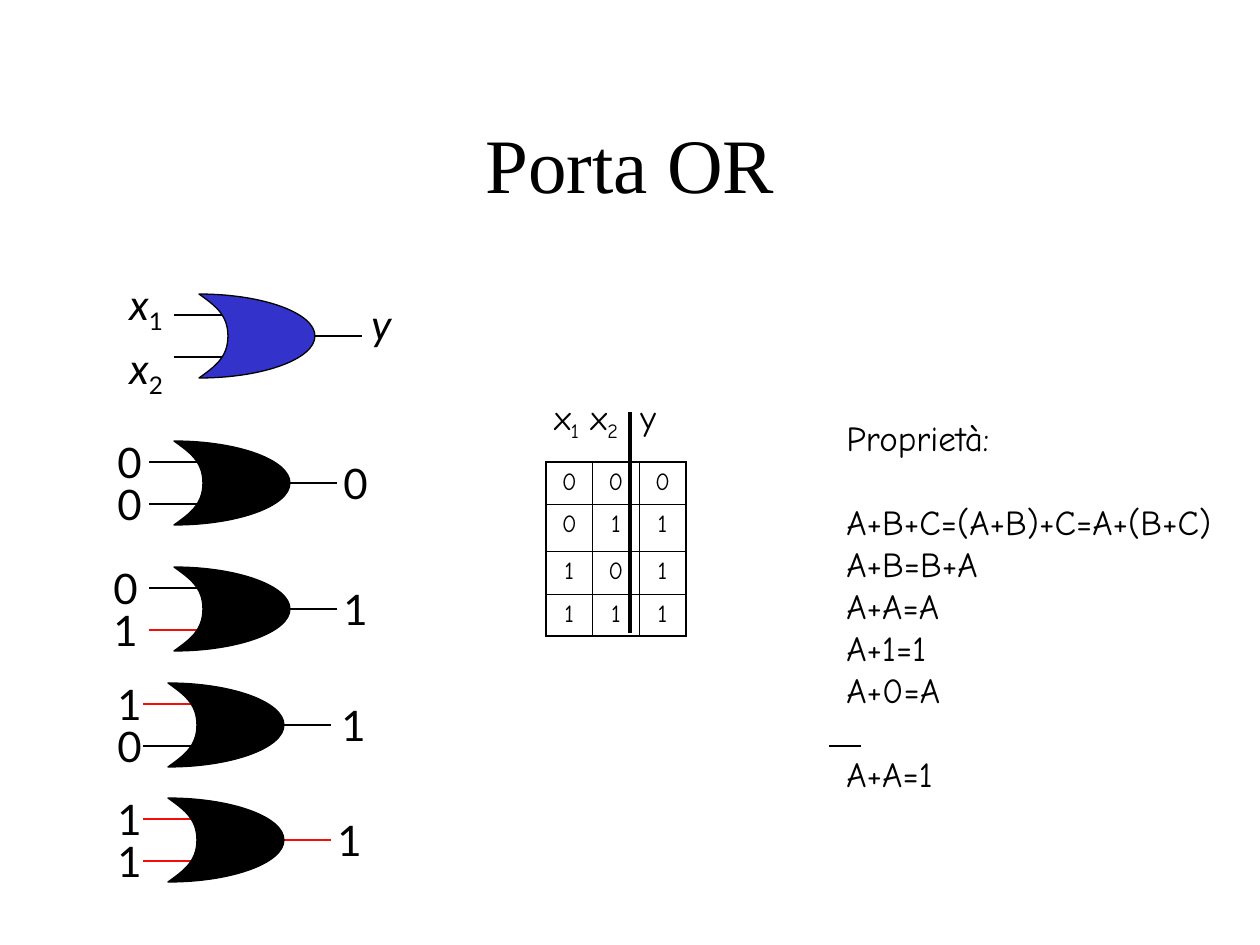
from dataclasses import dataclass
from typing import NamedTuple

from lxml import etree
from pptx import Presentation
from pptx.dml.color import RGBColor
from pptx.enum.shapes import MSO_CONNECTOR
from pptx.enum.text import MSO_ANCHOR, MSO_AUTO_SIZE, PP_ALIGN
from pptx.oxml.ns import qn
from pptx.util import Emu, Pt

STRAIGHT = MSO_CONNECTOR.STRAIGHT
TOP, MIDDLE = MSO_ANCHOR.TOP, MSO_ANCHOR.MIDDLE
LEFT, CENTER = PP_ALIGN.LEFT, PP_ALIGN.CENTER
FIT_TEXT = MSO_AUTO_SIZE.SHAPE_TO_FIT_TEXT

PX_PER_INCH = 126
COLORS = {"ink": "000000", "low": "010103", "high": "F50D07", "symbol": "3333CC"}
SERIF, SANS, HAND = "Times New Roman", "Lato", "Comic Neue"

GATE_CURVES = (
    ((15, 11), (29, 20), (29, 42)),
    ((29, 64), (15, 73), (0, 84)),
    ((64, 84), (116, 65), (116, 42)),
    ((116, 19), (64, 0), (0, 0)),
)
WIRE_SPANS = ((-25, 27, 21), (-25, 27, 63), (111, 163, 42))


class Run(NamedTuple):
    text: str
    italic: bool = False
    subscript: bool = False


class Frame(NamedTuple):
    left: int
    top: int
    width: int
    height: int


class Label(NamedTuple):
    runs: list[Run]
    left: int
    drop: int
    width: int = 49
    height: int = 63


@dataclass
class Gate:
    left: int
    top: int
    labels: list[Label]
    wire_colors: tuple[str, str, str]
    fill: str = "ink"


def px(value: float) -> Emu:
    return Emu(round(value * 914400 / PX_PER_INCH))


def rgb(name: str) -> RGBColor:
    return RGBColor.from_string(COLORS[name])


def write_text(frame, paragraphs: list[list[Run]], *, font: str, size: int, align=LEFT,
               tab: int = 0, gaps: dict[int, int] | None = None) -> None:
    for index, runs in enumerate(paragraphs):
        paragraph = frame.paragraphs[0] if index == 0 else frame.add_paragraph()
        paragraph.alignment = align
        if gaps and index in gaps:
            paragraph.space_before = Pt(gaps[index])
        if tab:
            tabs = etree.SubElement(paragraph._p.get_or_add_pPr(), qn("a:tabLst"))
            etree.SubElement(tabs, qn("a:tab"), pos=str(px(tab)), algn="l")
        for part in runs:
            run = paragraph.add_run()
            run.text = part.text
            run.font.name, run.font.size = font, Pt(size)
            run.font.italic = part.italic
            run.font.color.rgb = rgb("ink")
            if part.subscript:
                run._r.get_or_add_rPr().set("baseline", "-25000")


def add_text(shapes, place: Frame, paragraphs: list[list[Run]], *, wrap: bool = False,
             anchor=TOP, **text_format) -> None:
    frame = shapes.add_textbox(*map(px, place)).text_frame
    frame.word_wrap = wrap
    frame.vertical_anchor = anchor
    if not wrap:
        frame.auto_size = FIT_TEXT
    write_text(frame, paragraphs, **text_format)


def add_line(shapes, start: tuple[int, int], end: tuple[int, int], color: str = "ink",
             width: float = 0.75) -> None:
    line = shapes.add_connector(STRAIGHT, *map(px, (*start, *end)))
    line.line.color.rgb = rgb(color)
    line.line.width = Pt(width)
    etree.SubElement(line._element.spPr, qn("a:effectLst"))


def add_gate_body(shapes, gate: Gate) -> None:
    builder = shapes.build_freeform(px(gate.left), px(gate.top))
    builder.add_line_segments([(px(gate.left + x), px(gate.top + y))
                               for *_, (x, y) in GATE_CURVES])
    body = builder.convert_to_shape()
    segments = list(body._element.iter(qn("a:lnTo")))
    for segment, controls in zip(segments, GATE_CURVES):
        curve = etree.Element(qn("a:cubicBezTo"))
        for x, y in controls:
            etree.SubElement(curve, qn("a:pt"), x=str(px(x)), y=str(px(y)))
        segment.getparent().replace(segment, curve)
    body.shadow.inherit = False
    body.fill.solid()
    body.fill.fore_color.rgb = rgb(gate.fill)
    body.line.color.rgb = rgb("ink")
    body.line.width = Pt(0.75)


def add_gate(shapes, gate: Gate) -> None:
    for (start, end, drop), color in zip(WIRE_SPANS, gate.wire_colors):
        y = gate.top + drop
        add_line(shapes, (gate.left + start, y), (gate.left + end, y), color)
    for label in gate.labels:
        place = Frame(label.left, gate.top + label.drop, label.width, label.height)
        add_text(shapes, place, [label.runs], font=SANS, size=24)
    add_gate_body(shapes, gate)


def example_gate(left: int, top: int, values: str, input_left: int, output_left: int,
                 output_color: str) -> Gate:
    places = ((input_left, -11), (input_left, 31), (output_left, 10))
    labels = [Label([Run(value)], *place) for value, place in zip(values, places)]
    first, second = ("high" if value == "1" else "low" for value in values[:2])
    return Gate(left, top, labels, (first, second, output_color))


def set_borders(cell, outer_edges: dict[str, bool]) -> None:
    properties = cell._tc.get_or_add_tcPr()
    for edge, outer in outer_edges.items():
        border = etree.SubElement(properties, qn(f"a:{edge}"),
                                  w=str(Pt(1.08 if outer else 0.45)))
        fill = etree.SubElement(border, qn("a:solidFill"))
        etree.SubElement(fill, qn("a:srgbClr"), val=COLORS["ink"])


def add_truth_table(shapes, place: Frame, rows: list[str], row_heights: list[int]) -> None:
    columns = len(rows[0])
    table = shapes.add_table(len(rows), columns, *map(px, place)).table
    table.first_row = table.horz_banding = False
    for column in table.columns:
        column.width = px(place.width / columns)
    for r, (values, height) in enumerate(zip(rows, row_heights)):
        table.rows[r].height = px(height)
        for c, value in enumerate(values):
            cell = table.cell(r, c)
            set_borders(cell, {"lnL": c == 0, "lnR": c == columns - 1,
                               "lnT": r == 0, "lnB": r == len(rows) - 1})
            cell.fill.background()
            write_text(cell.text_frame, [[Run(value)]], font=HAND, size=14, align=CENTER)


SYMBOL_GATE = Gate(199, 294, [
    Label([Run("x", italic=True), Run("1", subscript=True)], 117, -22, 59, 71),
    Label([Run("x", italic=True), Run("2", subscript=True)], 117, 42, 59, 71),
    Label([Run("y", italic=True)], 359, -2, 44),
], ("low", "low", "low"), "symbol")
EXAMPLE_GATES = [
    example_gate(174, 441, "000", 105, 331, "low"),
    example_gate(174, 567, "011", 101, 331, "low"),
    example_gate(168, 683, "101", 105, 329, "ink"),
    example_gate(168, 798, "111", 105, 325, "high"),
]
TRUTH_ROWS = ["000", "011", "101", "111"]
TRUTH_HEADER = [Run("x"), Run("1", subscript=True), Run(" x"), Run("2", subscript=True),
                Run("\ty")]
PROPERTIES = ["Proprietà:", "A+B+C=(A+B)+C=A+(B+C)", "A+B=B+A", "A+A=A", "A+1=1", "A+0=A",
              "A+A=1"]


def main() -> None:
    deck = Presentation()
    deck.slide_width, deck.slide_height = px(1260), px(945)
    shapes = deck.slides.add_slide(deck.slide_layouts[6]).shapes

    add_text(shapes, Frame(95, 84, 1070, 158), [[Run("Porta OR")]], wrap=True, anchor=MIDDLE,
             font=SERIF, size=44, align=CENTER)
    add_truth_table(shapes, Frame(546, 462, 140, 174), TRUTH_ROWS, [42, 47, 43, 42])
    add_text(shapes, Frame(542, 389, 127, 60), [TRUTH_HEADER], font=HAND, size=20, tab=86)
    add_gate(shapes, SYMBOL_GATE)
    for gate in EXAMPLE_GATES:
        add_gate(shapes.add_group_shape().shapes, gate)
    add_text(shapes, Frame(834, 410, 391, 391), [[Run(line)] for line in PROPERTIES],
             font=HAND, size=20, gaps={1: 24, 6: 24})
    add_line(shapes, (829, 746), (861, 746))
    add_line(shapes, (630, 412), (630, 633), width=2.25)
    deck.save("out.pptx")


if __name__ == "__main__":
    main()
